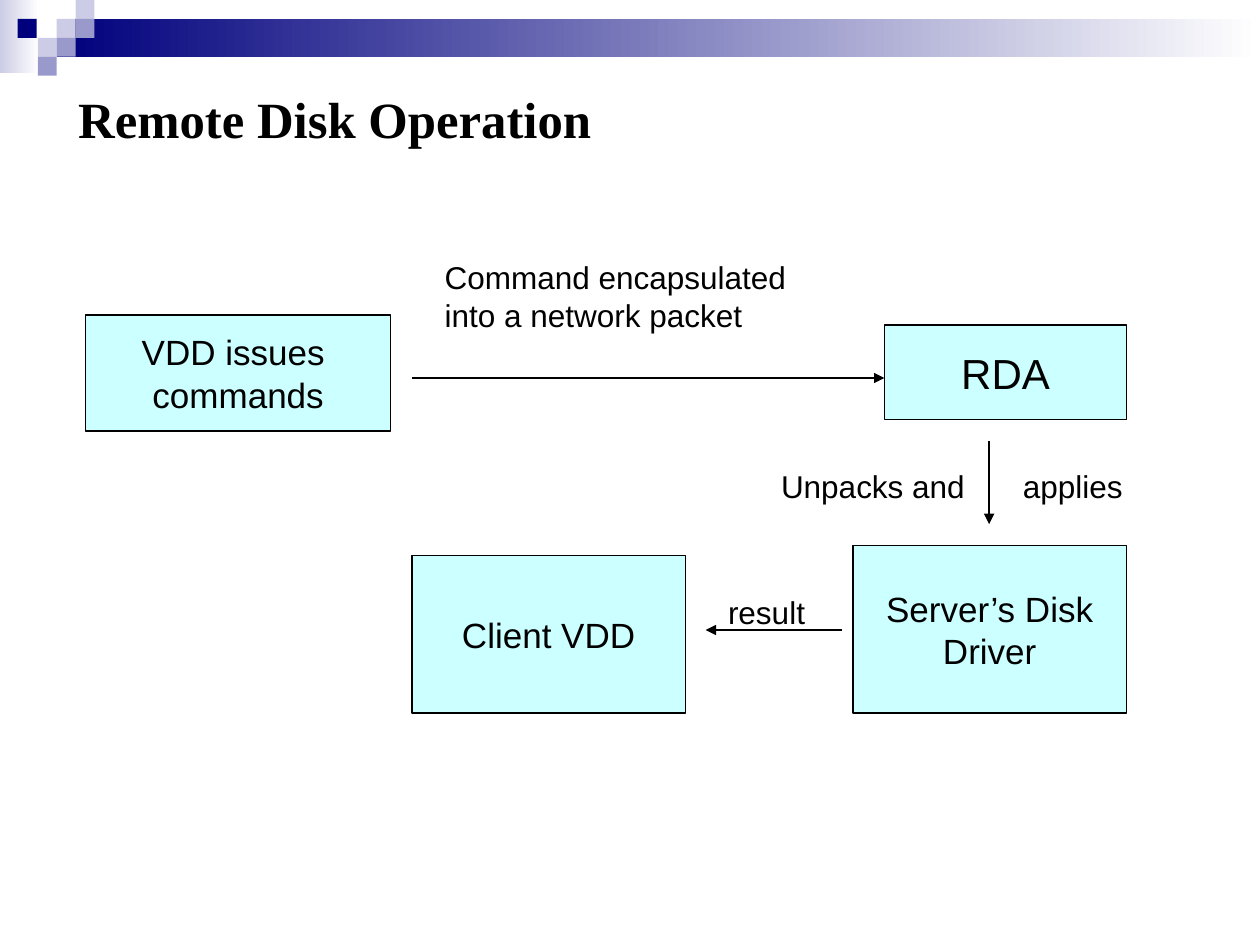
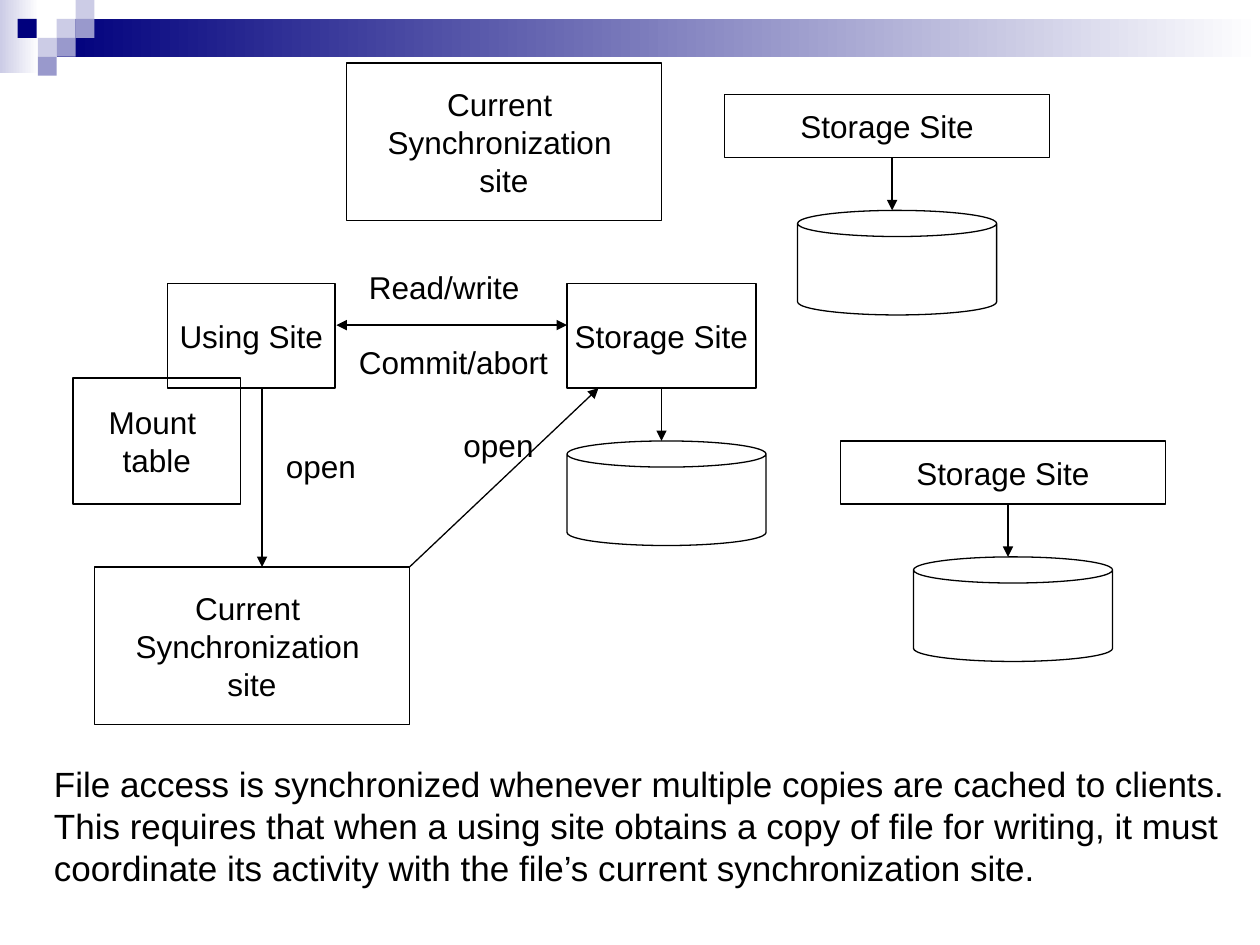
from lxml import etree
from pptx import Presentation
from pptx import util as u
from pptx.dml.color import RGBColor
from pptx.enum import shapes, text
from pptx.oxml import ns

COLORS = {"ink": "000000", "white": "FFFFFF", "box": "CCFFFF",
          "navy": "00007D", "mid": "9999CC", "pale": "CCCCE6"}
BODY_FONT, TITLE_FONT = "Arial", "Times New Roman"
TILE = 0.15
# left, top and colour of each corner square
TILES = [(0.45, 0.15, "pale"), (0.6, 0, "pale"), (0.6, 0.15, "mid"),
         (0.3, 0.3, "pale"), (0.14, 0.15, "navy"), (0.45, 0.3, "mid"),
         (0.3, 0.45, "mid")]


def rgb(name):
    return RGBColor.from_string(COLORS[name])


def write(frame, content, size=18, font=BODY_FONT, bold=False,
          align=text.PP_ALIGN.LEFT, anchor=text.MSO_ANCHOR.TOP, wrap=True):
    """Fill a text frame, one paragraph for each line of the content."""
    frame.word_wrap = wrap
    frame.auto_size = text.MSO_AUTO_SIZE.NONE
    frame.vertical_anchor = anchor
    frame.margin_left = frame.margin_right = u.Inches(0.1)
    frame.margin_top = frame.margin_bottom = u.Inches(0.05)
    for number, line in enumerate(content.split("\n")):
        paragraph = frame.add_paragraph() if number else frame.paragraphs[0]
        paragraph.alignment = align
        run = paragraph.add_run()
        run.text = line
        run.font.size = u.Pt(size)
        run.font.name = font
        run.font.bold = bold
        run.font.color.rgb = rgb("ink")


class Deck:
    def __init__(self):
        self.prs = Presentation()
        self.prs.slide_width, self.prs.slide_height = u.Inches(10), u.Inches(7.5)
        self.slide = None

    def new_slide(self, title=None):
        layout = self.prs.slide_layouts[5 if title else 6]
        self.slide = self.prs.slides.add_slide(layout)
        self.corner_band()
        if title:
            heading = self.slide.shapes.title
            heading.left, heading.top = u.Inches(0.52), u.Inches(0.65)
            heading.width, heading.height = u.Inches(8.25), u.Inches(0.59)
            write(heading.text_frame, title, size=29, font=TITLE_FONT, bold=True)

    def corner_band(self):
        self.fade(0, 0, 0.31, 0.58, "pale")
        self.fade(0.45, 0.15, 9.55, 0.3, "navy")
        for left, top, color in TILES:
            self.shape(left, top, TILE, TILE, fill=color, outline=False)

    def shape(self, left, top, width, height, fill=None, outline=True,
              kind=shapes.MSO_SHAPE.RECTANGLE):
        item = self.slide.shapes.add_shape(
            kind, *map(u.Inches, (left, top, width, height)))
        item.shadow.inherit = False
        if fill:
            item.fill.solid()
            item.fill.fore_color.rgb = rgb(fill)
        else:
            item.fill.background()
        if outline:
            item.line.color.rgb = rgb("ink")
            item.line.width = u.Pt(0.75)
        else:
            item.line.fill.background()
        return item

    def fade(self, left, top, width, height, color):
        """Bar that fades to white towards the right."""
        bar = self.shape(left, top, width, height, outline=False)
        bar.fill.gradient()
        bar.fill.gradient_angle = 0
        for stop, name in zip(bar.fill.gradient_stops, (color, "white")):
            stop.color.rgb = rgb(name)

    def box(self, content, left, top, width, height, size=18, fill=None):
        item = self.shape(left, top, width, height, fill)
        write(item.text_frame, content, size=size, align=text.PP_ALIGN.CENTER,
              anchor=text.MSO_ANCHOR.MIDDLE, wrap=False)

    def disk(self, left, top):
        self.shape(left, top, 1.58, 0.83, kind=shapes.MSO_SHAPE.CAN)

    def label(self, content, left, top, width, height=0.4, size=18):
        item = self.slide.shapes.add_textbox(
            *map(u.Inches, (left, top, width, height)))
        write(item.text_frame, content, size=size)

    def arrow(self, x1, y1, x2, y2):
        line = self.slide.shapes.add_connector(
            shapes.MSO_CONNECTOR.STRAIGHT, *map(u.Inches, (x1, y1, x2, y2)))
        line.line.color.rgb = rgb("ink")
        line.line.width = u.Pt(0.75)
        etree.SubElement(line.line._get_or_add_ln(), ns.qn("a:tailEnd"),
                         type="triangle")
        etree.SubElement(line._element.spPr, ns.qn("a:effectLst"))


def remote_disk_operation(deck):
    deck.new_slide("Remote Disk Operation")
    # Stations of the command
    for content, left, top, width, height, size in [
            ("VDD issues \ncommands", 0.68, 2.5, 2.42, 0.92, 20),
            ("RDA", 7.02, 2.58, 1.92, 0.75, 24),
            ("Server’s Disk\nDriver", 6.77, 4.33, 2.17, 1.33, 20),
            ("Client VDD", 3.27, 4.41, 2.17, 1.25, 20)]:
        deck.box(content, left, top, width, height, size, fill="box")
    # Steps between them
    deck.arrow(3.27, 3, 7.02, 3)
    deck.arrow(7.85, 3.5, 7.85, 4.16)
    deck.arrow(6.68, 5, 5.6, 5)
    deck.label("Command encapsulated into a network packet", 3.43, 2, 3.25, 0.7)
    deck.label("Unpacks and", 6.1, 3.66, 1.75)
    deck.label("applies", 8.02, 3.66, 1.08)
    deck.label("result", 5.68, 4.66, 1)


def file_synchronization(deck):
    deck.new_slide()
    # Sites
    for left, top in [(2.75, 0.5), (0.75, 4.5)]:
        deck.box("Current \nSynchronization \nsite", left, top, 2.5, 1.25)
    deck.box("Using Site", 1.33, 2.25, 1.33, 0.83)
    deck.box("Mount \ntable", 0.58, 3, 1.33, 1)
    # Storage sites, each with its disk below
    for left, top, width, height, arrow_x, disk_x in [
            (5.75, 0.75, 2.58, 0.5, 7.08, 6.33),
            (4.5, 2.25, 1.5, 0.83, 5.25, 4.5),
            (6.67, 3.5, 2.58, 0.5, 8, 7.25)]:
        bottom = top + height
        deck.box("Storage Site", left, top, width, height)
        deck.arrow(arrow_x, bottom, arrow_x, bottom + 0.42)
        deck.disk(disk_x, bottom + 0.42)
    # Messages between the sites
    for target_x in (2.67, 4.5):
        deck.arrow(3.92, 2.58, target_x, 2.58)
    deck.arrow(2.08, 3.08, 2.08, 4.5)
    deck.arrow(3.25, 4.5, 4.75, 3.08)
    deck.label("Read/write", 2.83, 2.08, 1.5)
    deck.label("Commit/abort", 2.75, 2.67, 1.75)
    deck.label("open", 2.17, 3.5, 1.17)
    deck.label("open", 3.58, 3.33, 0.92)
    # Explanation
    deck.label("File access is synchronized whenever multiple copies are cached "
               "to clients. This requires that when a using site obtains a copy "
               "of file for writing, it must coordinate its activity with the "
               "file’s current synchronization site.",
               0.33, 6, 9.67, 1.1, size=20)


def main():
    deck = Deck()
    remote_disk_operation(deck)
    file_synchronization(deck)
    deck.prs.save("out.pptx")


if __name__ == "__main__":
    main()
